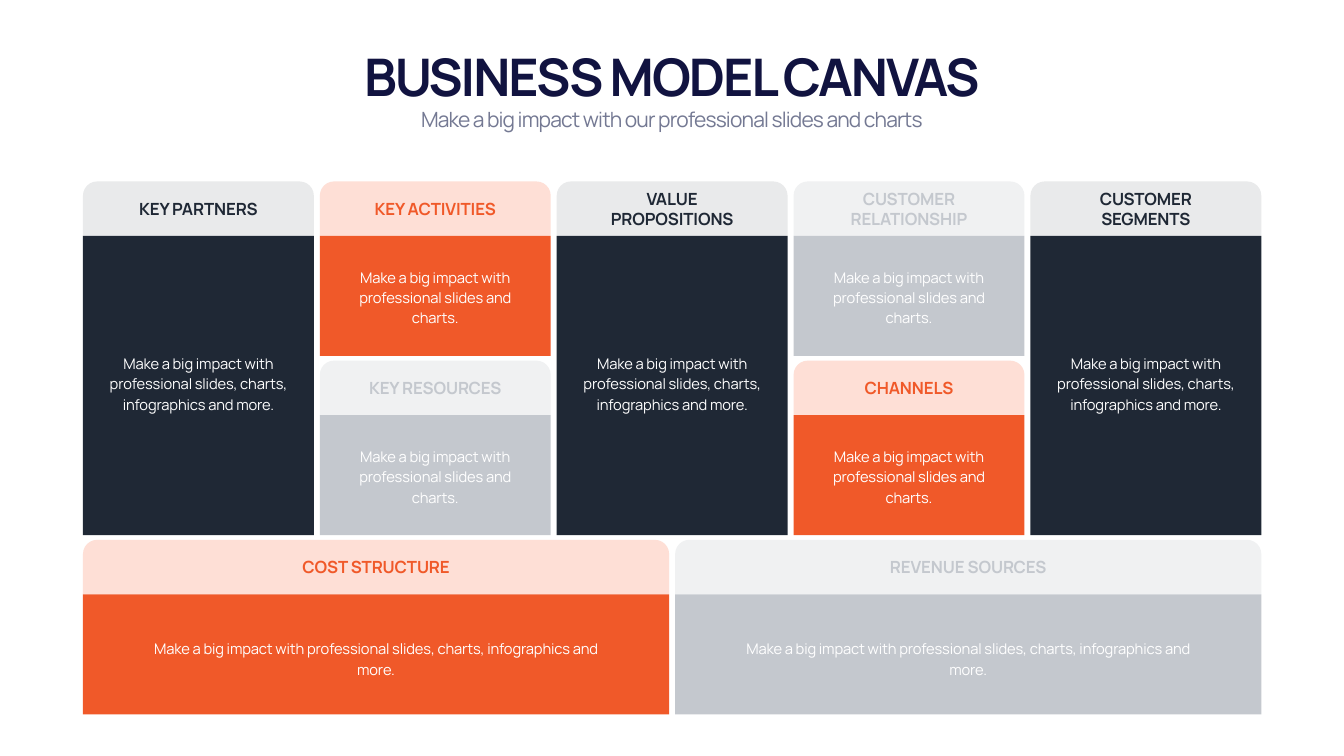
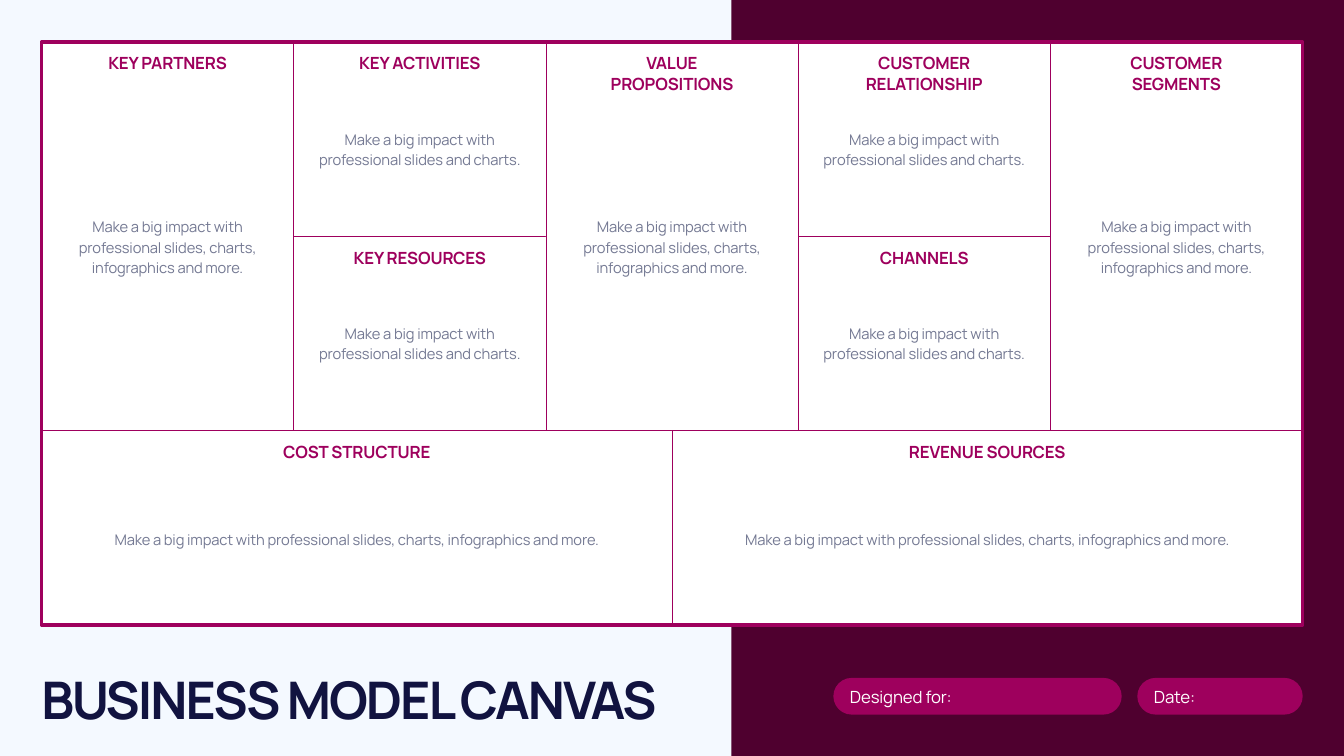
from dataclasses import dataclass
from enum import Enum

import pptx
import pptx.dml.color
import pptx.enum.shapes
import pptx.enum.text
import pptx.util

Pt = pptx.util.Pt
RGBColor = pptx.dml.color.RGBColor
SHAPES = pptx.enum.shapes.MSO_SHAPE
ALIGN = pptx.enum.text.PP_ALIGN
ANCHOR = pptx.enum.text.MSO_ANCHOR

FONT = "Manrope"
NAVY = RGBColor(0x11, 0x13, 0x40)
SLATE = RGBColor(0x74, 0x79, 0x93)
WHITE = RGBColor(0xFF, 0xFF, 0xFF)
INK = RGBColor(0x1F, 0x28, 0x35)
INK_TINT = RGBColor(0xE9, 0xEA, 0xEB)
ORANGE = RGBColor(0xF0, 0x59, 0x29)
ORANGE_TINT = RGBColor(0xFE, 0xDF, 0xD6)
GREY = RGBColor(0xC4, 0xC8, 0xCE)
GREY_TINT = RGBColor(0xF0, 0xF1, 0xF2)
PALE_BLUE = RGBColor(0xF4, 0xF9, 0xFF)
PLUM = RGBColor(0x4F, 0x00, 0x2F)
MAGENTA = RGBColor(0x9E, 0x00, 0x5D)

PAGE_WIDTH, PAGE_HEIGHT = 1919.52, 1080
TITLE = "BUSINESS MODEL CANVAS"
TITLE_HEIGHT = 97.2
LINE_PITCH = 29
TEXT_PADDING = 7
LONG_NOTE = "Make a big impact with professional slides, charts, infographics and more."
SHORT_NOTE = "Make a big impact with professional slides and charts."


@dataclass(frozen=True)
class Rect:
    left: float
    top: float
    width: float
    height: float

    @property
    def center_x(self) -> float:
        return self.left + self.width / 2

    @property
    def center_y(self) -> float:
        return self.top + self.height / 2


@dataclass(frozen=True)
class TextStyle:
    size: float
    color: RGBColor
    bold: bool = False
    tracking: float = -0.2
    align: ALIGN = ALIGN.CENTER
    anchor: ANCHOR = ANCHOR.TOP
    line_pitch: float | None = None


class Kind(Enum):
    TALL = "tall"
    HALF = "half"
    WIDE = "wide"


@dataclass(frozen=True)
class Tone:
    strong: RGBColor
    tint: RGBColor


@dataclass(frozen=True)
class Block:
    """One canvas field; column and span count half columns."""
    heading: str
    kind: Kind
    column: int
    row: int
    tone: Tone

    @property
    def span(self) -> int:
        return 5 if self.kind is Kind.WIDE else 2

    @property
    def rows(self) -> int:
        return 2 if self.kind is Kind.TALL else 1

    @property
    def note(self) -> str:
        return SHORT_NOTE if self.kind is Kind.HALF else LONG_NOTE

    @property
    def heading_height(self) -> float:
        return TEXT_PADDING + 29.25 * (1 + self.heading.count("\n"))


@dataclass(frozen=True)
class Grid:
    left: float
    top: float
    column_pitch: float
    row_pitch: float
    column_gap: float = 0
    row_gap: float = 0

    def cell(self, block: Block) -> Rect:
        return Rect(self.left + block.column * self.column_pitch,
                    self.top + block.row * self.row_pitch,
                    block.span * self.column_pitch - self.column_gap,
                    block.rows * self.row_pitch - self.row_gap)


@dataclass(frozen=True)
class Fit:
    """Text widths, number of note lines and the note's offset from the middle."""
    heading_width: float
    note_width: float
    note_lines: int
    note_shift: float


DARK_TONE = Tone(INK, INK_TINT)
ORANGE_TONE = Tone(ORANGE, ORANGE_TINT)
GREY_TONE = Tone(GREY, GREY_TINT)

BLOCKS = [
    Block("KEY PARTNERS", Kind.TALL, 0, 0, DARK_TONE),
    Block("KEY ACTIVITIES", Kind.HALF, 2, 0, ORANGE_TONE),
    Block("KEY RESOURCES", Kind.HALF, 2, 1, GREY_TONE),
    Block("VALUE\nPROPOSITIONS", Kind.TALL, 4, 0, DARK_TONE),
    Block("CUSTOMER\nRELATIONSHIP", Kind.HALF, 6, 0, GREY_TONE),
    Block("CHANNELS", Kind.HALF, 6, 1, ORANGE_TONE),
    Block("CUSTOMER\nSEGMENTS", Kind.TALL, 8, 0, DARK_TONE),
    Block("COST STRUCTURE", Kind.WIDE, 0, 2, ORANGE_TONE),
    Block("REVENUE SOURCES", Kind.WIDE, 5, 2, GREY_TONE),
]

CARD_GRID = Grid(118.5, 259.2, 169.15, 256, 8.6, 6.6)
CARD_HEADER_HEIGHT = 77.8
CARD_FITS = {
    Kind.TALL: Fit(287.3, 287.3, 3, -4),
    Kind.HALF: Fit(259.2, 266.4, 3, 0.5),
    Kind.WIDE: Fit(681.8, 681.8, 2, 5),
}

TABLE_GRID = Grid(59.2, 59.8, 180.1, 277.7)
TABLE_HEADING_OFFSET = 12.5
TABLE_FITS = {
    Kind.TALL: Fit(329.8, 332.6, 3, 14),
    Kind.HALF: Fit(329.8, 332.6, 2, 13),
    Kind.WIDE: Fit(810, 810, 1, 15.5),
}


def heading_style(color: RGBColor) -> TextStyle:
    return TextStyle(24, color, bold=True)


def note_style(color: RGBColor) -> TextStyle:
    return TextStyle(21, color, anchor=ANCHOR.MIDDLE, line_pitch=LINE_PITCH)


def write(shape, text: str, style: TextStyle) -> None:
    frame = shape.text_frame
    frame.word_wrap = True
    frame.vertical_anchor = style.anchor
    frame.text = text
    for para in frame.paragraphs:
        para.alignment = style.align
        if style.line_pitch:
            para.line_spacing = Pt(style.line_pitch)
        for span in para.runs:
            span.font.name = FONT
            span.font.size = Pt(style.size)
            span.font.bold = style.bold
            span.font.color.rgb = style.color
            span._r.get_or_add_rPr().set("spc", str(round(style.tracking * 100)))


def add_text(page, rect: Rect, text: str, style: TextStyle) -> None:
    box = page.shapes.add_textbox(Pt(rect.left), Pt(rect.top), Pt(rect.width), Pt(rect.height))
    write(box, text, style)
    box.text_frame.auto_size = pptx.enum.text.MSO_AUTO_SIZE.SHAPE_TO_FIT_TEXT


def add_panel(page, rect: Rect, fill: RGBColor | None, outline: RGBColor | None = None,
              outline_width: float = 1, form: SHAPES = SHAPES.RECTANGLE):
    panel = page.shapes.add_shape(form, Pt(rect.left), Pt(rect.top), Pt(rect.width), Pt(rect.height))
    panel.shadow.inherit = False
    if fill is None:
        panel.fill.background()
    else:
        panel.fill.solid()
        panel.fill.fore_color.rgb = fill
    if outline is None:
        panel.line.fill.background()
    else:
        panel.line.color.rgb = outline
        panel.line.width = Pt(outline_width)
    return panel


def add_title(page, left: float, top: float, width: float, align: ALIGN) -> None:
    title = page.shapes.title
    title.left, title.top = Pt(left), Pt(top)
    title.width, title.height = Pt(width), Pt(TITLE_HEIGHT)
    write(title, TITLE, TextStyle(74, NAVY, True, -2.9, align, ANCHOR.BOTTOM))
    title.text_frame.auto_size = pptx.enum.text.MSO_AUTO_SIZE.SHAPE_TO_FIT_TEXT


def add_heading(page, block: Block, center_x: float, top: float, fit: Fit, color: RGBColor) -> None:
    rect = Rect(center_x - fit.heading_width / 2, top, fit.heading_width, block.heading_height)
    add_text(page, rect, block.heading, heading_style(color))


def add_note(page, block: Block, area: Rect, fit: Fit, color: RGBColor) -> None:
    height = fit.note_lines * LINE_PITCH + TEXT_PADDING
    rect = Rect(area.center_x - fit.note_width / 2,
                area.center_y + fit.note_shift - height / 2, fit.note_width, height)
    add_text(page, rect, block.note, note_style(color))


def add_card(page, block: Block) -> None:
    cell = CARD_GRID.cell(block)
    fit = CARD_FITS[block.kind]
    header = Rect(cell.left, cell.top, cell.width, CARD_HEADER_HEIGHT)
    body = Rect(cell.left, cell.top + CARD_HEADER_HEIGHT, cell.width, cell.height - CARD_HEADER_HEIGHT)
    cap = add_panel(page, header, block.tone.tint, form=SHAPES.ROUND_2_SAME_RECTANGLE)
    cap.adjustments[0] = 0.26
    add_panel(page, body, block.tone.strong)
    add_heading(page, block, cell.center_x, header.center_y - block.heading_height / 2,
                fit, block.tone.strong)
    add_note(page, block, body, fit, WHITE)


def add_field(page, block: Block) -> None:
    cell = TABLE_GRID.cell(block)
    fit = TABLE_FITS[block.kind]
    add_panel(page, cell, WHITE, MAGENTA)
    add_heading(page, block, cell.center_x, cell.top + TABLE_HEADING_OFFSET, fit, MAGENTA)
    add_note(page, block, cell, fit, SLATE)


def add_pill(page, text: str, left: float, width: float) -> None:
    pill = add_panel(page, Rect(left, 968.4, width, 52.5), MAGENTA, form=SHAPES.ROUNDED_RECTANGLE)
    pill.adjustments[0] = 0.5
    write(pill, text, TextStyle(24, WHITE, align=ALIGN.LEFT, anchor=ANCHOR.MIDDLE, line_pitch=LINE_PITCH))
    # The rounded shape already insets its text by 0.29 of its radius.
    pill.text_frame.margin_left = Pt(16)


def build_card_page(page) -> None:
    add_title(page, 119.5, 59, 1679.8, ALIGN.CENTER)
    add_text(page, Rect(119.5, 149, 1679.8, 43.9),
             "Make a big impact with our professional slides and charts",
             TextStyle(30, SLATE, tracking=-1.2))
    for block in BLOCKS:
        add_card(page, block)


def build_table_page(page) -> None:
    page.background.fill.solid()
    page.background.fill.fore_color.rgb = PALE_BLUE
    add_panel(page, Rect(1044.7, 0, PAGE_WIDTH - 1044.7, PAGE_HEIGHT), PLUM)
    for block in BLOCKS:
        add_field(page, block)
    frame = Rect(TABLE_GRID.left, TABLE_GRID.top, 10 * TABLE_GRID.column_pitch, 3 * TABLE_GRID.row_pitch)
    add_panel(page, frame, None, MAGENTA, 5)
    add_title(page, 51.8, 949.7, 952.6, ALIGN.LEFT)
    add_pill(page, "Designed for:", 1190.2, 411.8)
    add_pill(page, "Date:", 1624.3, 236.2)


def main() -> None:
    deck = pptx.Presentation()
    deck.slide_width, deck.slide_height = Pt(PAGE_WIDTH), Pt(PAGE_HEIGHT)
    title_only = deck.slide_layouts[5]
    for build in (build_card_page, build_table_page):
        build(deck.slides.add_slide(title_only))
    deck.save("out.pptx")


if __name__ == "__main__":
    main()
